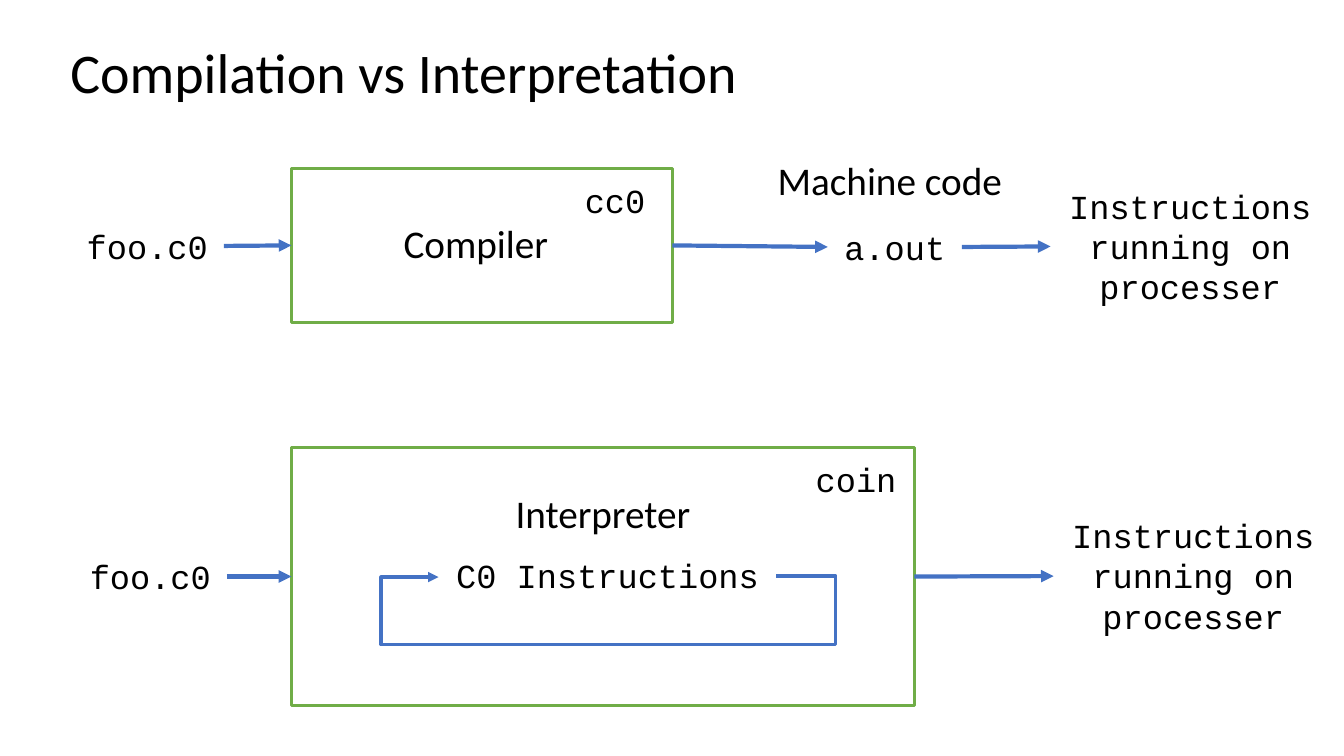
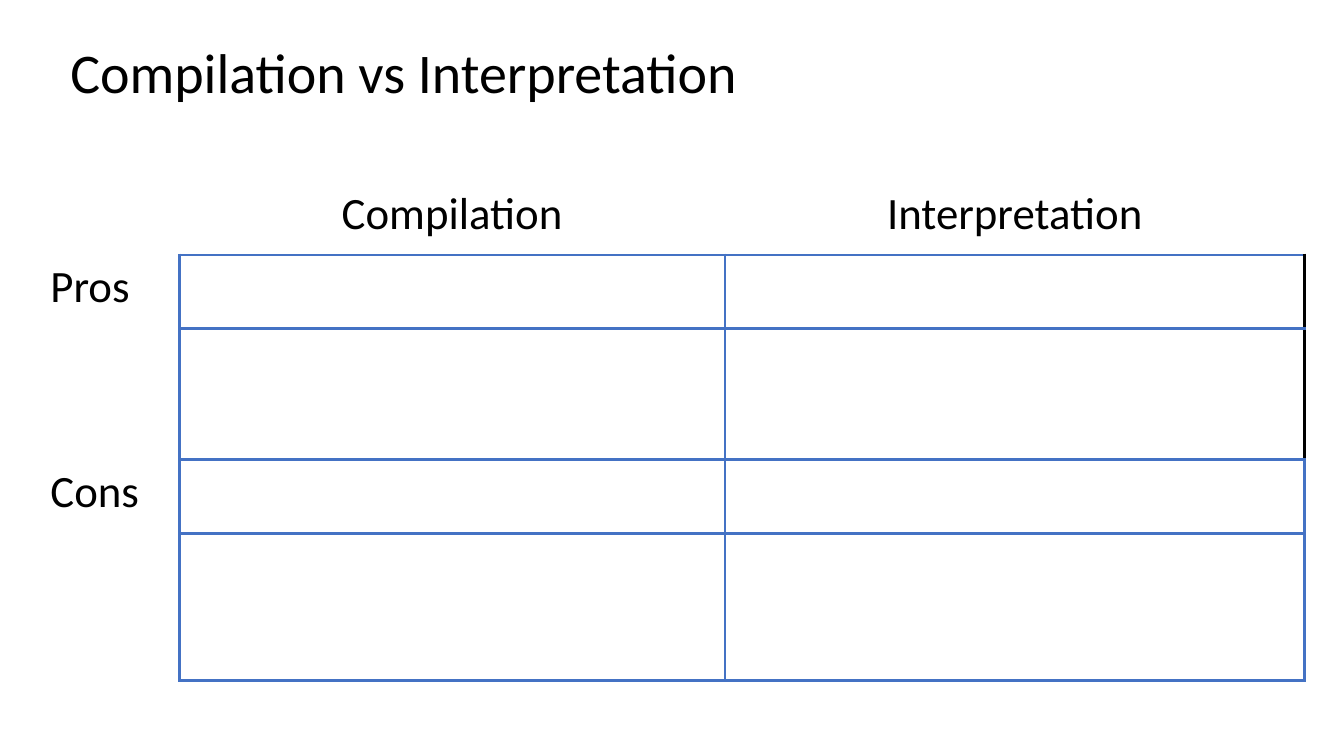
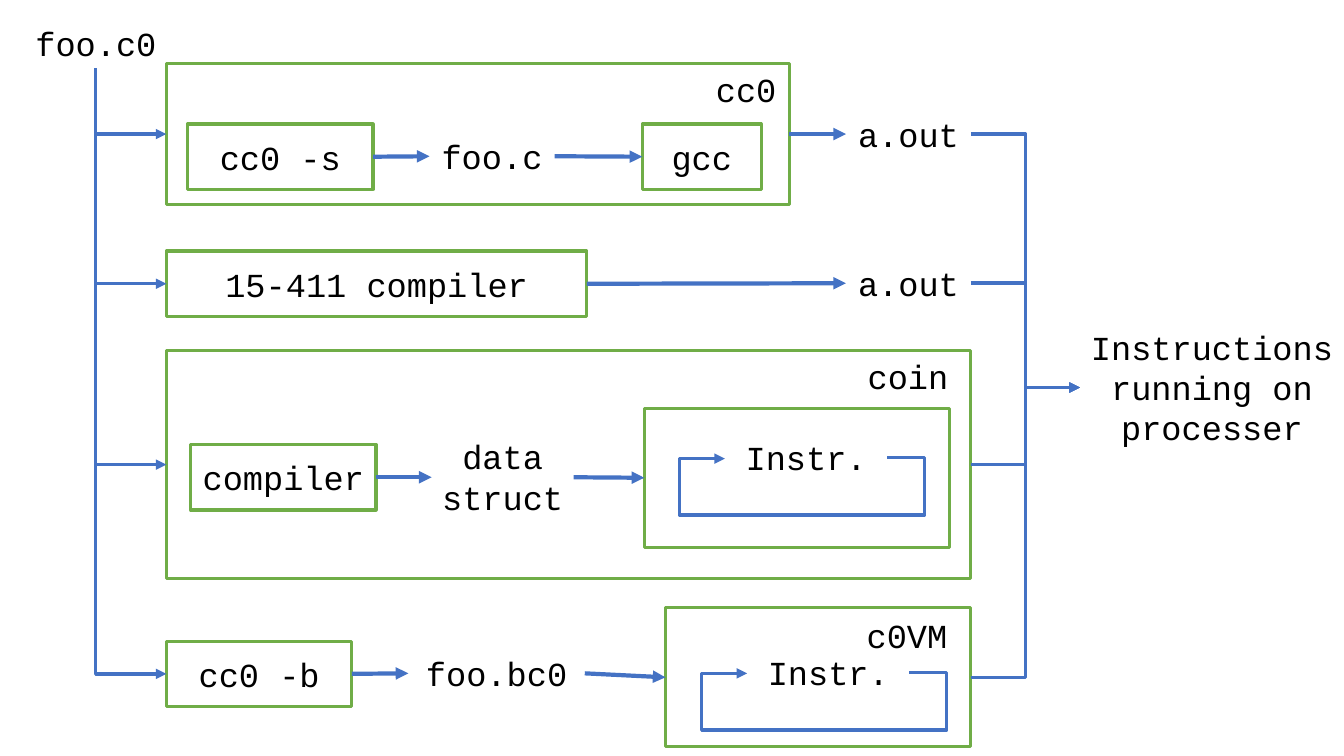
from dataclasses import dataclass

from lxml.etree import SubElement
from pptx import Presentation
from pptx.dml.color import RGBColor
from pptx.enum.shapes import MSO_CONNECTOR, MSO_SHAPE
from pptx.enum.text import MSO_ANCHOR, PP_ALIGN
from pptx.oxml.ns import qn
from pptx.util import Inches, Pt

# The layout grid has one column and one row per inch.
COLUMNS, ROWS = 13.33, 7.5


@dataclass(frozen=True)
class Theme:
    """Colours, fonts, type sizes and line widths of the deck."""
    ink: str = "000000"
    flow: str = "4472C4"
    frame: str = "70AD47"
    prose: str = "Calibri"
    code: str = "Courier New"
    title_size: int = 40
    table_size: int = 32
    stage_size: int = 28
    code_size: int = 24
    arrow_width: float = 3
    elbow_width: float = 2.5
    rule_width: float = 2.25


THEME = Theme()
RESULT = "Instructions running on processer"


@dataclass(frozen=True)
class Box:
    """A rectangle in grid columns and rows."""
    left: float
    top: float
    width: float
    height: float

    @property
    def west(self):
        """Return the middle of the left side."""
        return self.left, self.top + self.height / 2

    @property
    def east(self):
        """Return the middle of the right side."""
        return self.left + self.width, self.top + self.height / 2

    def inset(self, dx, dy, width, height):
        """Return a box placed from this box's top left corner."""
        return Box(self.left + dx, self.top + dy, width, height)

    def emu(self):
        """Return the box as lengths for python-pptx."""
        return [Inches(n) for n in (self.left, self.top, self.width, self.height)]


def color(value):
    """Turn RRGGBB into a colour."""
    return RGBColor.from_string(value)


def write(frame, text, size, font, align=PP_ALIGN.CENTER):
    """Put one formatted paragraph into a text frame."""
    frame.word_wrap = True
    frame.text = text
    paragraph = frame.paragraphs[0]
    paragraph.alignment = align
    for run in paragraph.runs:
        run.font.size, run.font.name = Pt(size), font
        run.font.color.rgb = color(THEME.ink)
    return paragraph


def label(slide, box, text, size=THEME.code_size, font=THEME.code):
    """Add a centred label and return its box."""
    write(slide.shapes.add_textbox(*box.emu()).text_frame, text, size, font)
    return box


def stage_name(slide, box, text):
    """Add a label in the larger prose type."""
    return label(slide, box, text, THEME.stage_size, THEME.prose)


def tool(slide, box, text=None):
    """Add a green outlined tool, with its command if given; return its box."""
    outline = slide.shapes.add_shape(MSO_SHAPE.RECTANGLE, *box.emu())
    outline.shadow.inherit = False
    outline.fill.background()
    outline.line.color.rgb = color(THEME.frame)
    outline.line.width = Pt(THEME.rule_width)
    if text:
        write(outline.text_frame, text, THEME.code_size, THEME.code)
        outline.text_frame.vertical_anchor = MSO_ANCHOR.MIDDLE
    return box


def arrow(slide, start, end, kind=MSO_CONNECTOR.STRAIGHT, width=THEME.arrow_width):
    """Add a blue connector with an arrowhead at its end."""
    ends = [Inches(n) for n in (*start, *end)]
    connector = slide.shapes.add_connector(kind, *ends)
    connector.line.color.rgb = color(THEME.flow)
    connector.line.width = Pt(width)
    SubElement(connector.get_or_add_ln(), qn("a:tailEnd"), type="triangle")
    SubElement(connector.element.spPr, qn("a:effectLst"))
    return connector


def link(slide, source, target):
    """Point from the east side of one box to the west side of the next."""
    arrow(slide, source.east, target.west)


def elbow(slide, start, end, preset="bentConnector3", bends=()):
    """Add a bent arrow; bends are shares of its width and height in turn."""
    connector = arrow(slide, start, end, MSO_CONNECTOR.ELBOW, THEME.elbow_width)
    geometry = connector.element.spPr.find(qn("a:prstGeom"))
    geometry.set("prst", preset)
    guides = geometry.find(qn("a:avLst"))
    for number, bend in enumerate(bends, 1):
        SubElement(guides, qn("a:gd"), name=f"adj{number}",
                   fmla=f"val {round(bend * 100000)}")
    return connector


def branch(slide, start, end):
    """Add an arrow that goes down first and then right."""
    connector = elbow(slide, start, end, "bentConnector2")
    width, height = connector.width, connector.height
    connector.left += (width - height) // 2
    connector.top += (height - width) // 2
    connector.width, connector.height = height, width
    turn = connector.element.spPr.find(qn("a:xfrm"))
    turn.set("rot", "16200000")
    turn.set("flipH", "1")


def loop(slide, box, text, right, left, drop):
    """Add a label whose arrow returns below it to its own west side."""
    label(slide, box, text)
    step = 0.01
    (start_x, y), (end_x, _) = box.east, box.west
    elbow(slide, (start_x, y), (end_x, y + step), "bentConnector5",
          (-right / box.width, drop / step, 1 + left / box.width))


def title(slide, box, text):
    """Add the slide title."""
    frame = slide.shapes.add_textbox(*box.emu()).text_frame
    heading = write(frame, text, THEME.title_size, THEME.prose, PP_ALIGN.LEFT)
    heading.line_spacing = 0.9
    frame.vertical_anchor = MSO_ANCHOR.MIDDLE


def compiler_flow(slide, box):
    """Draw source, compiler, machine code and result."""
    source = label(slide, box.inset(0, 0.69, 1.52, 0.5), "foo.c0")
    compiler = tool(slide, box.inset(2.19, 0.17, 3.78, 1.53))
    stage_name(slide, box.inset(2.75, 0.63, 2.54, 0.57), "Compiler")
    label(slide, box.inset(4.81, 0.24, 1.18, 0.5), "cc0")
    stage_name(slide, box.inset(6.74, 0, 2.77, 0.57), "Machine code")
    binary = label(slide, box.inset(7.51, 0.7, 1.33, 0.5), "a.out")
    result = label(slide, box.inset(9.72, 0.29, 2.77, 1.31), RESULT)
    for pair in ((source, compiler), (compiler, binary), (binary, result)):
        link(slide, *pair)


def interpreter_flow(slide, box):
    """Draw source, interpreter with its loop, and result."""
    source = label(slide, box.inset(0, 1.03, 1.52, 0.5), "foo.c0")
    interpreter = tool(slide, box.inset(2.16, 0, 6.18, 2.56))
    stage_name(slide, box.inset(3.98, 0.37, 2.54, 0.57), "Interpreter")
    label(slide, box.inset(6.49, 0.06, 2.54, 0.5), "coin")
    loop(slide, box.inset(3.62, 1.02, 3.35, 0.51), "C0 Instructions", 0.59, 0.57, 0.69)
    result = label(slide, box.inset(9.72, 0.62, 2.77, 1.31), RESULT)
    link(slide, source, interpreter)
    link(slide, interpreter, result)


def set_borders(cell, edges):
    """Set the left, right, top and bottom borders; None hides one."""
    properties = cell._tc.get_or_add_tcPr()
    for place, (side, stroke) in enumerate(zip("LRTB", edges)):
        border = SubElement(properties, qn(f"a:ln{side}"))
        border.set("w", str(Pt(THEME.rule_width)))
        if stroke:
            fill = SubElement(border, qn("a:solidFill"))
            SubElement(fill, qn("a:srgbClr"), val=stroke)
        else:
            SubElement(border, qn("a:noFill"))
        properties.insert(place, border)


def comparison_table(slide, box):
    """Draw the pros and cons grid, with its headings outside the rules."""
    widths = (1.38, 5.41, 5.75)
    heights = (0.73, 0.73, 1.3, 0.73, 0.73, 0.73)
    headings = {(0, 1): "Compilation", (0, 2): "Interpretation",
                (1, 0): "Pros", (3, 0): "Cons"}
    ruled = {1, 2, 3, 4, 6}
    table = slide.shapes.add_table(len(heights), len(widths), *box.emu()).table
    table.first_row = table.horz_banding = False
    for column, width in zip(table.columns, widths):
        column.width = Inches(width)
    for row, height in zip(table.rows, heights):
        row.height = Inches(height)
    for r in range(len(heights)):
        for c in range(len(widths)):
            cell = table.cell(r, c)
            cell.fill.background()
            if (r, c) in headings:
                align = PP_ALIGN.LEFT if c == 0 else PP_ALIGN.CENTER
                write(cell.text_frame, headings[r, c], THEME.table_size,
                      THEME.prose, align)
            outer = THEME.ink if c == 2 and r in (1, 2) else THEME.flow
            set_borders(cell, (THEME.flow if r and c else None,
                               outer if r else None,
                               THEME.flow if c and r in ruled else None,
                               THEME.flow if c and r + 1 in ruled else None))


def instruction_loop(slide, box):
    """Draw a small instruction loop in the given label box."""
    loop(slide, box, "Instr.", 0.37, 0.45, 0.58)


def cc0_lane(slide, box):
    """Draw cc0 as two tools; return its entry and exit boxes."""
    outer = tool(slide, box.inset(0, 0, 6.18, 1.4))
    label(slide, box.inset(5.16, 0, 1.18, 0.5), "cc0")
    front = tool(slide, box.inset(0.21, 0.6, 1.84, 0.65), "cc0 -s")
    c_file = label(slide, box.inset(2.61, 0.67, 1.24, 0.5), "foo.c")
    back = tool(slide, box.inset(4.72, 0.6, 1.18, 0.65), "gcc")
    binary = label(slide, box.inset(6.74, 0.45, 1.24, 0.5), "a.out")
    for pair in ((front, c_file), (c_file, back), (outer, binary)):
        link(slide, *pair)
    return outer, binary


def course_lane(slide, box):
    """Draw the course compiler; return its entry and exit boxes."""
    compiler = tool(slide, box.inset(0, 0, 4.17, 0.65), "15-411 compiler")
    binary = label(slide, box.inset(6.74, 0.07, 1.24, 0.5), "a.out")
    link(slide, compiler, binary)
    return compiler, binary


def coin_lane(slide, box):
    """Draw the coin interpreter; return its entry and exit boxes."""
    outer = tool(slide, box.inset(0, 0, 7.98, 2.26))
    label(slide, box.inset(6.76, 0, 1.19, 0.5), "coin")
    compiler = tool(slide, box.inset(0.24, 0.93, 1.84, 0.65), "compiler")
    structure = label(slide, box.inset(2.63, 0.8, 1.41, 0.91), "data struct")
    runner = tool(slide, box.inset(4.74, 0.57, 3.03, 1.38))
    instruction_loop(slide, box.inset(5.54, 0.81, 1.61, 0.5))
    link(slide, compiler, structure)
    link(slide, structure, runner)
    return outer, outer


def bytecode_lane(slide, box):
    """Draw bytecode and its machine; return the entry and exit boxes."""
    compiler = tool(slide, box.inset(0, 0.33, 1.84, 0.65), "cc0 -b")
    bytecode = label(slide, box.inset(2.4, 0.4, 1.75, 0.5), "foo.bc0")
    machine = tool(slide, box.inset(4.95, 0, 3.03, 1.38))
    label(slide, box.inset(6.75, 0.02, 1.19, 0.5), "c0VM")
    instruction_loop(slide, box.inset(5.76, 0.39, 1.61, 0.5))
    link(slide, compiler, bytecode)
    link(slide, bytecode, machine)
    return compiler, machine


def toolchain(slide, box):
    """Draw four lanes between the shared source and the shared result."""
    source = label(slide, box.inset(0.19, 0.18, 1.52, 0.5), "foo.c0")
    result = label(slide, box.inset(10.71, 3.19, 2.62, 1.31), RESULT)
    trunk = source.left + source.width / 2, source.top + source.height
    lanes = ((cc0_lane, 0.63, 1.4), (course_lane, 2.49, 0.65),
             (coin_lane, 3.48, 2.26), (bytecode_lane, 6.03, 1.38))
    for lane, top, height in lanes:
        entry, outlet = lane(slide, box.inset(1.65, top, 7.98, height))
        branch(slide, trunk, entry.west)
        elbow(slide, outlet.east, result.west, bends=(0.5,))


def build():
    """Build and save the three slides."""
    deck = Presentation()
    deck.slide_width, deck.slide_height = Inches(COLUMNS), Inches(ROWS)
    page = Box(0, 0, COLUMNS, ROWS)
    flows, comparison, chains = (deck.slides.add_slide(deck.slide_layouts[6])
                                 for _ in range(3))
    for slide in (flows, comparison):
        title(slide, page.inset(0.6, 0.4, 11.5, 0.69), "Compilation vs Interpretation")
    compiler_flow(flows, page.inset(0.7, 1.5, 12.49, 1.7))
    interpreter_flow(flows, page.inset(0.73, 4.44, 12.49, 2.56))
    comparison_table(comparison, page.inset(0.4, 1.8, 12.54, 4.95))
    toolchain(chains, page)
    deck.save("out.pptx")


build()
